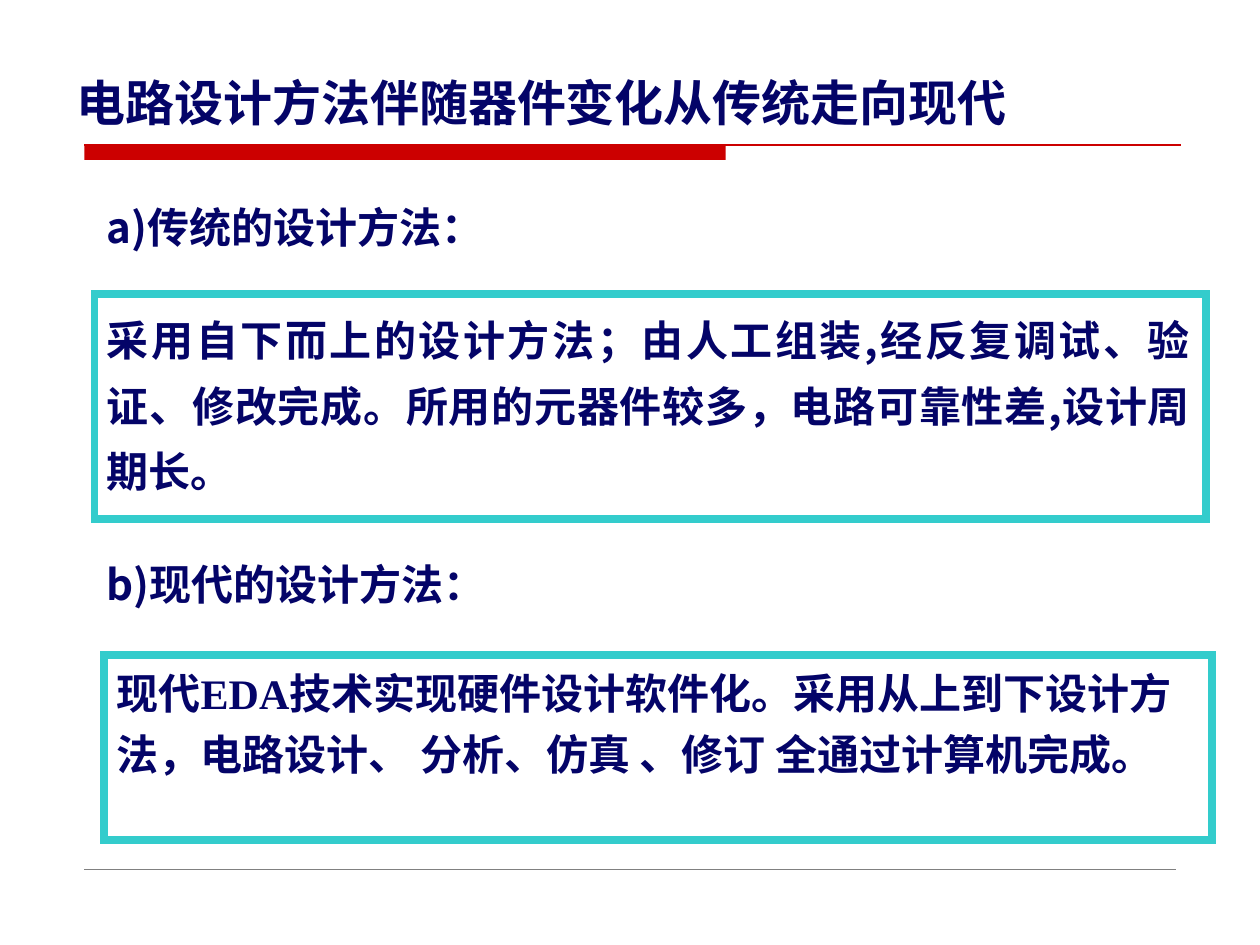
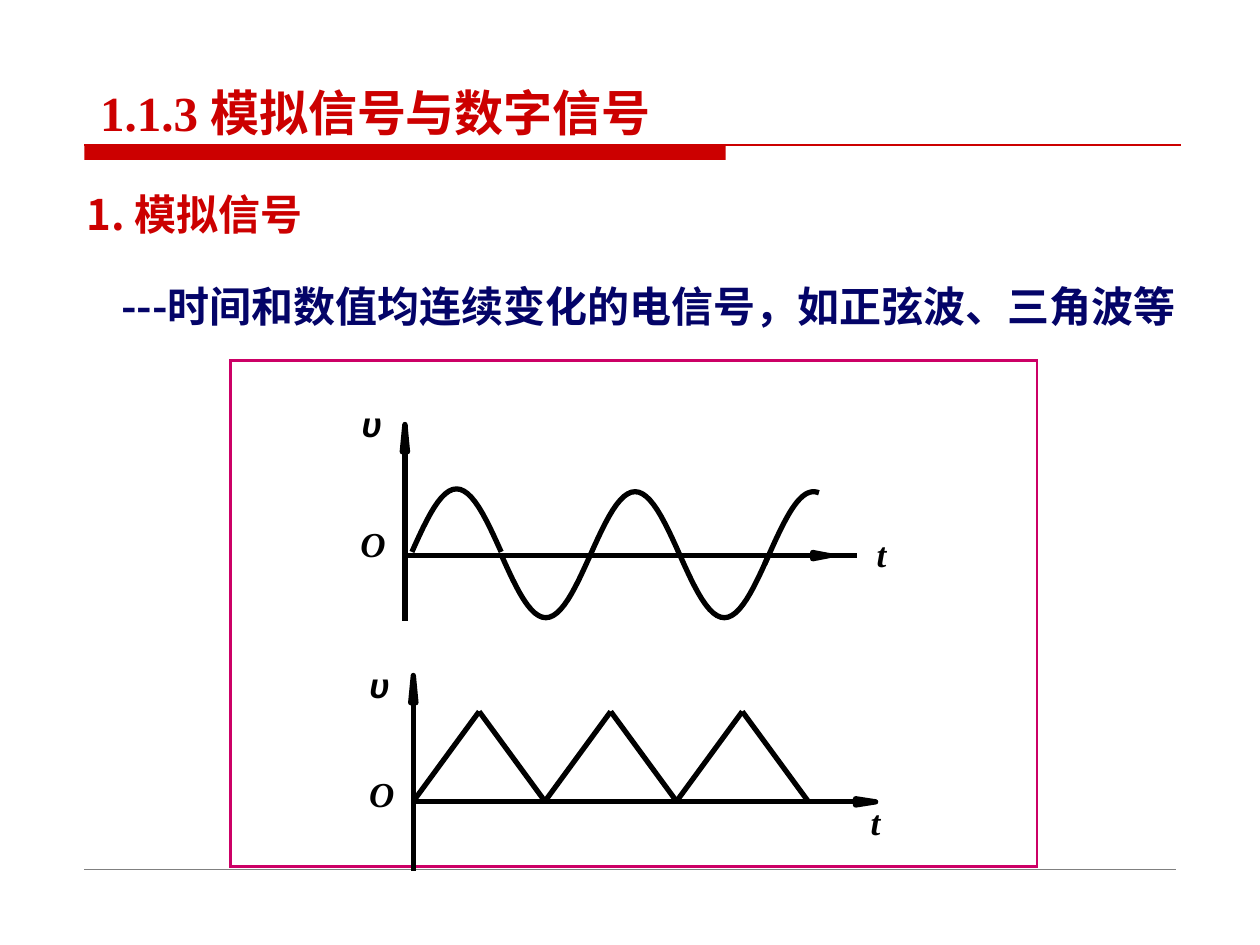
from itertools import pairwise
from math import pi, sin

from lxml import etree
from pptx import Presentation
from pptx.dml.color import RGBColor
from pptx.enum import shapes, text
from pptx.oxml.ns import qn
from pptx.util import Pt

RED = RGBColor(0xCC, 0x00, 0x00)
NAVY = RGBColor(0x04, 0x04, 0x68)
TEAL = RGBColor(0x33, 0xCC, 0xCC)
MAGENTA = RGBColor(0xCC, 0x00, 0x66)
GRAY = RGBColor(0x80, 0x80, 0x80)
BLACK = RGBColor(0x00, 0x00, 0x00)
WHITE = RGBColor(0xFF, 0xFF, 0xFF)

CJK = "Noto Sans CJK SC"
TIMES = "Times New Roman"


class Deck:
    """Holds the shared style and the slide being built; lengths are in points."""

    def __init__(self):
        self.presentation = Presentation()
        self.presentation.slide_width = Pt(720)
        self.presentation.slide_height = Pt(540)
        self.slide = None

    def new_slide(self):
        self.slide = self.presentation.slides.add_slide(self.presentation.slide_layouts[6])
        self.rectangle(48.2, 82.8, 366.5, 8.6, fill=RED)
        self.line((48.2, 82.8), (674.6, 82.8), RED, 0.75)
        self.line((48.2, 496.8), (671.8, 496.8), GRAY, 0.25)

    def paint(self, shape, fill, line, weight):
        shape.shadow.inherit = False
        if fill is None:
            shape.fill.background()
        else:
            shape.fill.solid()
            shape.fill.fore_color.rgb = fill
        if line is None:
            shape.line.fill.background()
        else:
            shape.line.color.rgb = line
            shape.line.width = Pt(weight)

    def rectangle(self, left, top, width, height, fill=None, line=None, weight=1):
        """Add a rectangle with sharp corners."""
        shape = self.slide.shapes.add_shape(
            shapes.MSO_SHAPE.RECTANGLE, Pt(left), Pt(top), Pt(width), Pt(height))
        self.paint(shape, fill, line, weight)
        if line is not None:
            outline = shape._element.spPr.find(qn("a:ln"))
            etree.SubElement(outline, qn("a:miter")).set("lim", "800000")

    def line(self, start, end, color=BLACK, weight=3):
        connector = self.slide.shapes.add_connector(
            shapes.MSO_CONNECTOR.STRAIGHT, *map(Pt, (*start, *end)))
        connector.line.color.rgb = color
        connector.line.width = Pt(weight)
        etree.SubElement(connector._element.spPr, qn("a:effectLst"))

    def outline(self, points, closed=False):
        """Draw a black path through the points, filled when closed."""
        start, *others = [(Pt(x), Pt(y)) for x, y in points]
        builder = self.slide.shapes.build_freeform(*start)
        builder.add_line_segments(others, close=closed)
        self.paint(builder.convert_to_shape(), BLACK if closed else None, BLACK, 3)

    def text(self, left, top, width, height, runs, size=24, color=NAVY, font=CJK,
             spacing=None, align=None, italic=None, margins=True, wrap=True):
        """Add one paragraph; runs is a string or a list of (words, font) pairs."""
        box = self.slide.shapes.add_textbox(Pt(left), Pt(top), Pt(width), Pt(height))
        frame = box.text_frame
        frame.word_wrap = wrap
        if not margins:
            frame.margin_left = frame.margin_right = 0
            frame.margin_top = frame.margin_bottom = 0
        paragraph = frame.paragraphs[0]
        paragraph.line_spacing = spacing
        paragraph.alignment = align
        paragraph.font.size = Pt(size)
        paragraph.font.bold = True
        paragraph.font.italic = italic
        paragraph.font.color.rgb = color
        paragraph.font.name = font
        properties = paragraph._p.pPr
        properties.set("hangingPunct", "0")
        defaults = properties.find(qn("a:defRPr"))
        etree.SubElement(defaults, qn("a:ea")).set("typeface", CJK)
        for words, run_font in [(runs, None)] if isinstance(runs, str) else runs:
            run = paragraph.add_run()
            run.text = words
            if run_font:
                run.font.name = run_font

    def axis_label(self, left, top, words, font=TIMES):
        self.text(left, top, 14, 24, words, size=20, color=BLACK, font=font,
                  italic=True, margins=False, wrap=False)

    def axes(self, x, top, time_y, time_end, head_tip, head_length):
        """Draw a voltage axis at x and a time axis at time_y, with arrowheads."""
        self.line((x, top), (x, top + 112))
        self.outline([(x + 1.5, top + 15.6), (x - 1.5, top + 15.6), (x, top)], closed=True)
        self.line((x, time_y), (time_end, time_y))
        base = head_tip - head_length
        self.outline([(base, time_y + 1.8), (base, time_y - 1.8), (head_tip, time_y)], closed=True)


def build_design_methods(deck):
    deck.new_slide()
    deck.text(36.7, 37.8, 578, 41, "电路设计方法伴随器件变化从传统走向现代", size=28)
    deck.text(54, 111.6, 272, 36, "a)传统的设计方法：")
    deck.text(54, 315.4, 272, 36, "b)现代的设计方法：")
    deck.text(54, 167.8, 633, 119.5,
              "采用自下而上的设计方法；由人工组装,经反复调试、验证、修改完成。"
              "所用的元器件较多，电路可靠性差,设计周期长。",
              spacing=1.3, align=text.PP_ALIGN.JUSTIFY)
    deck.rectangle(54, 167.8, 635, 129, line=TEAL, weight=4.5)
    deck.text(59.6, 372.2, 635, 76.3,
              [("现代EDA", TIMES),
               ("技术实现硬件设计软件化。采用从上到下设计方法，"
                "电路设计、 分析、仿真 、修订 全通过计算机完成。", CJK)],
              spacing=1.2)
    deck.rectangle(59.6, 374.4, 633, 105.8, line=TEAL, weight=4.5)


def draw_sine_wave(deck):
    deck.axes(231.4, 242.6, 317.5, 489.6, 473.8, 9.4)
    half_period, amplitude, steps = 51, 36, 24
    for index in range(5):
        left = 235.4 + half_period * index
        base = 315.4 if index == 0 else 317
        direction = -1 if index % 2 == 0 else 1
        first, last = (-0.05, 0.56) if index == 4 else (0, 1)
        phases = [first + (last - first) * step / steps for step in range(steps + 1)]
        deck.outline([(left + half_period * phase,
                       base + direction * amplitude * sin(pi * phase)) for phase in phases])
    deck.axis_label(206, 298.4, "O")
    deck.axis_label(501, 304.2, "t")
    deck.axis_label(206.6, 230.1, "υ", "Arial")


def draw_triangle_wave(deck):
    deck.axes(236.2, 386, 458.2, 500.4, 500.4, 11.5)
    corners = [(236.2 + 37.6 * index, 406.6 if index % 2 else 457.9) for index in range(7)]
    for start, end in pairwise(corners):
        deck.line(start, end)
    deck.axis_label(211, 441.4, "O")
    deck.axis_label(497.5, 457.2, "t")
    deck.axis_label(211, 379.1, "υ", "Arial")


def build_analog_signals(deck):
    deck.new_slide()
    deck.rectangle(131.8, 205.9, 460.8, 289.4, fill=WHITE, line=MAGENTA, weight=1.5)
    deck.text(62.1, 145.4, 657.9, 47.5,
              "---时间和数值均连续变化的电信号，如正弦波、三角波等", spacing=1.4)
    draw_triangle_wave(deck)
    draw_sine_wave(deck)
    deck.text(42.5, 104, 465, 36, "1. 模拟信号", color=RED)
    deck.text(50.2, 43.5, 345.6, 41, [("1.1.3 ", TIMES), ("模拟信号与数字信号", CJK)],
              size=28, color=RED, wrap=False)


def main():
    deck = Deck()
    build_design_methods(deck)
    build_analog_signals(deck)
    deck.presentation.save("out.pptx")


if __name__ == "__main__":
    main()
